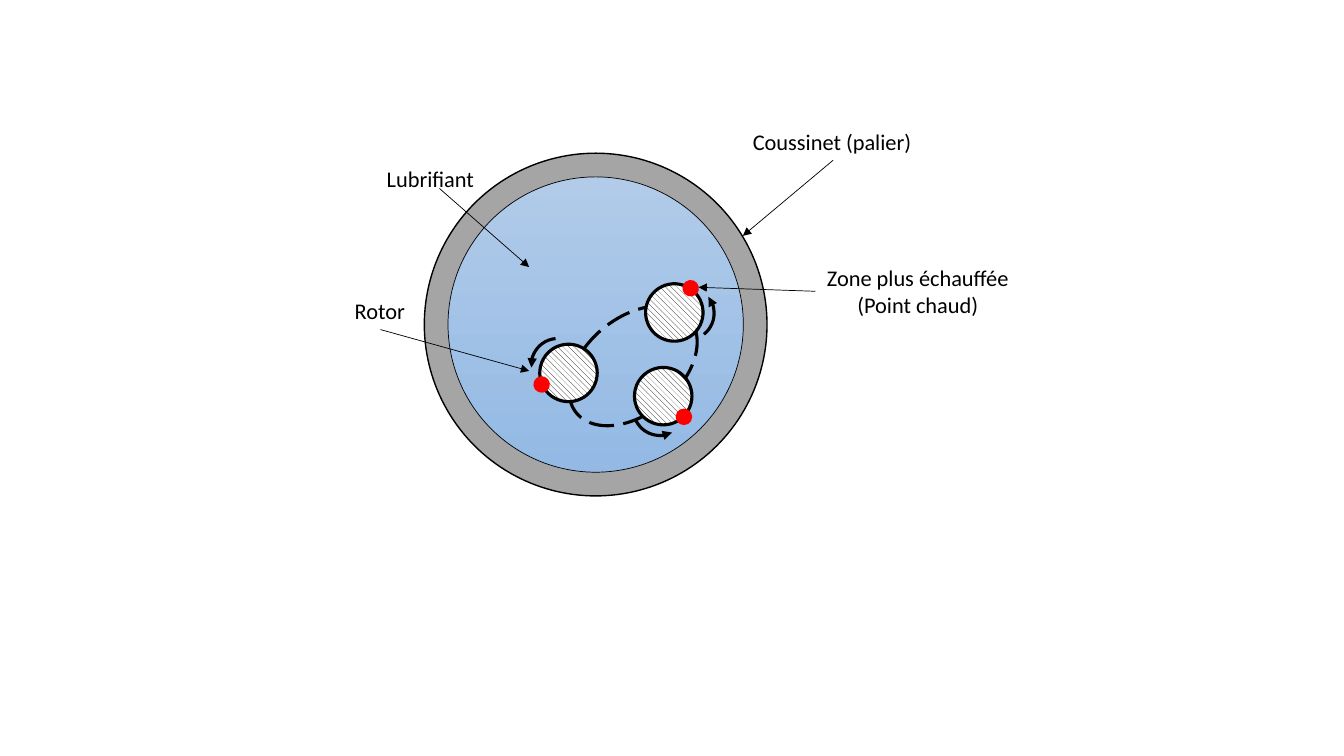
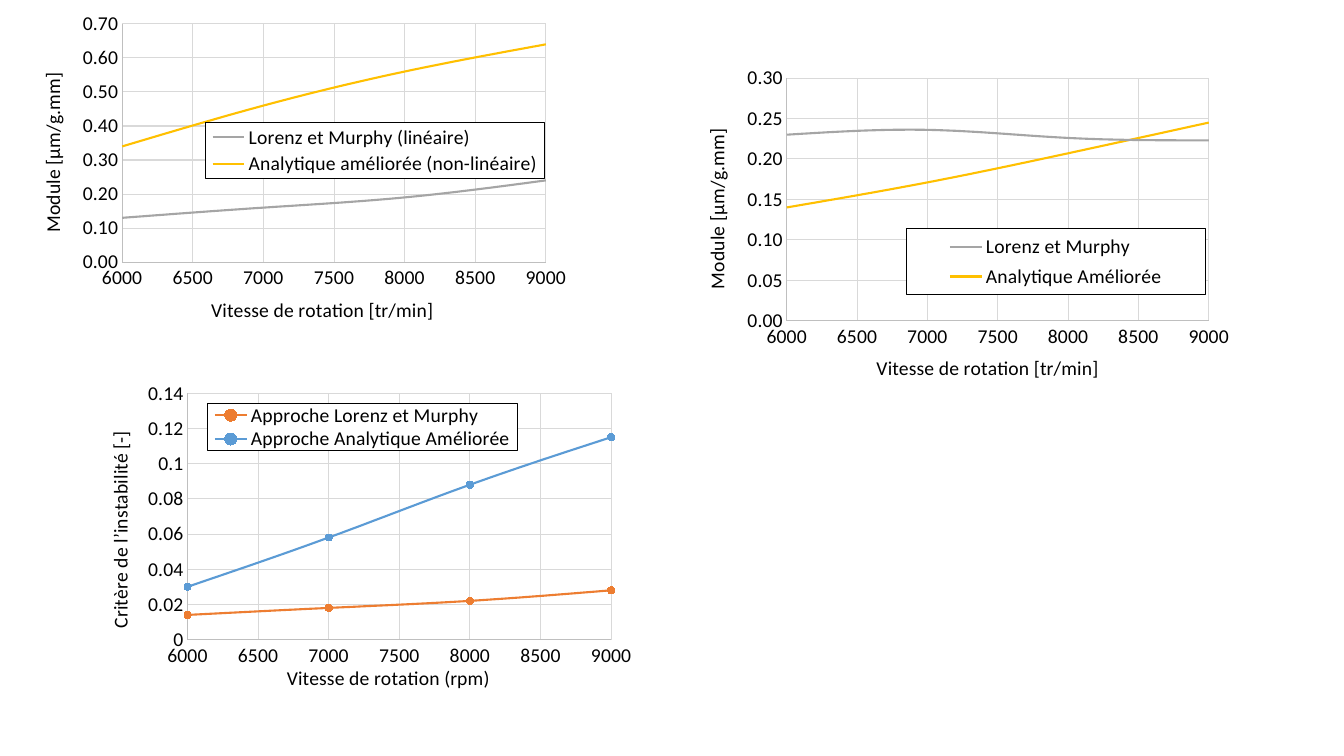
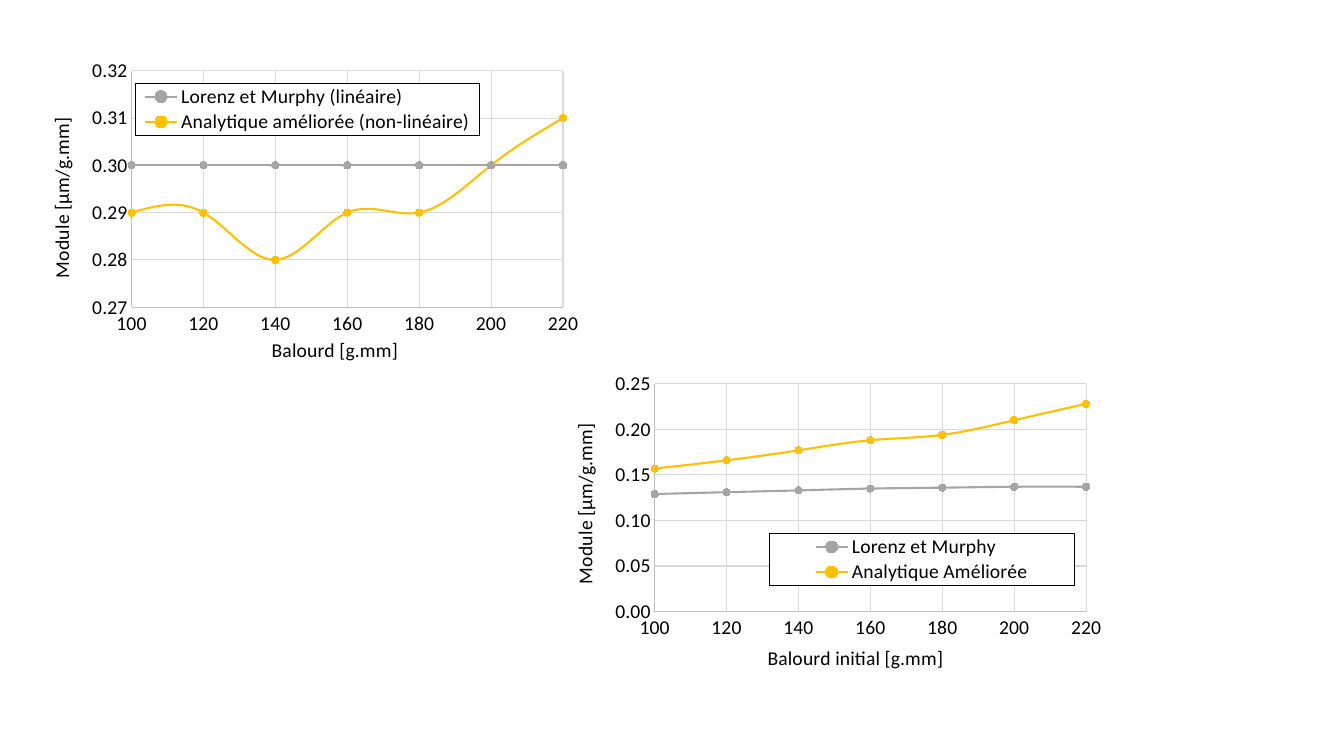
from dataclasses import dataclass
from math import cos, radians, sin

from lxml import etree
from pptx import Presentation
from pptx.chart.data import XyChartData
from pptx.dml.color import RGBColor
from pptx.enum.chart import XL_CHART_TYPE, XL_LEGEND_POSITION, XL_MARKER_STYLE, XL_TICK_MARK
from pptx.enum.dml import MSO_LINE, MSO_PATTERN
from pptx.enum.shapes import MSO_CONNECTOR, MSO_SHAPE
from pptx.enum.text import MSO_AUTO_SIZE, PP_ALIGN
from pptx.oxml.ns import qn
from pptx.util import Inches, Pt

ELLIPSE, ARC = MSO_SHAPE.OVAL, MSO_SHAPE.ARC
STRAIGHT = MSO_CONNECTOR.STRAIGHT
LONG_DASH = MSO_LINE.LONG_DASH
HATCH = MSO_PATTERN.WIDE_DOWNWARD_DIAGONAL
LEFT, CENTER = PP_ALIGN.LEFT, PP_ALIGN.CENTER
FIT_SHAPE = MSO_AUTO_SIZE.SHAPE_TO_FIT_TEXT
SMOOTH, SMOOTH_MARKED = XL_CHART_TYPE.XY_SCATTER_SMOOTH_NO_MARKERS, XL_CHART_TYPE.XY_SCATTER_SMOOTH
LEGEND_RIGHT, LEGEND_TOP = XL_LEGEND_POSITION.RIGHT, XL_LEGEND_POSITION.TOP
CIRCLE = XL_MARKER_STYLE.CIRCLE
NO_TICKS = XL_TICK_MARK.NONE

FONT = "Calibri"
BLACK, WHITE, RED = "000000", "FFFFFF", "FF0000"
GREY, YELLOW, ORANGE, BLUE = "A5A5A5", "FFC000", "ED7D31", "5B9BD5"
OIL_TOP, OIL_BOTTOM = "B1CBE9", "93B9E4"
AXIS_GREY, GRID_GREY = "BFBFBF", "D9D9D9"

ROTOR_SIZE, SPOT_SIZE, ARC_SIZE = 0.57, 0.15, 0.53


@dataclass
class Rotor:
    x: float
    y: float
    turn: float


@dataclass
class Label:
    text: str
    box: tuple[float, float, float, float]
    tip: tuple[float, float]
    align: PP_ALIGN = LEFT
    start: tuple[float, float] | None = None
    side: int = 2


@dataclass
class Curve:
    name: str
    values: list[float]
    color: str


@dataclass
class Axis:
    title: str
    title_at: tuple[float, float]
    low: float
    high: float
    step: float
    number_format: str = "General"


@dataclass
class Plot:
    """A scatter chart; box, legend and titles in slide inches, area as chart fractions."""
    box: tuple[float, float, float, float]
    area: tuple[float, float, float, float]
    legend: tuple[float, float, float, float]
    horizontal: Axis
    vertical: Axis
    curves: list[Curve]
    kind: XL_CHART_TYPE = SMOOTH_MARKED
    legend_side: XL_LEGEND_POSITION = LEGEND_RIGHT


ROTORS = [Rotor(5.64, 3.7, 21.8), Rotor(6.58, 3.93, 270), Rotor(6.69, 3.1, 168.9)]

LABELS = [
    Label("Rotor", (3.42, 2.9, 0.71, 0.37), (5.25, 3.68)),
    Label("Coussinet (palier)", (7.37, 1.22, 1.79, 0.37), (7.37, 2.34)),
    Label("Zone plus échauffée\n(Point chaud)", (8.09, 2.57, 2.03, 0.64), (6.93, 2.85), CENTER, side=1),
    Label("Lubrifiant", (3.73, 1.59, 1.08, 0.37), (5.25, 2.65), CENTER, start=(4.36, 1.87)),
]

MODULE = "Module [µm/g.mm]"
SPEED = "Vitesse de rotation [tr/min]"
LINEAR, NON_LINEAR = "Lorenz et Murphy (linéaire)", "Analytique améliorée (non-linéaire)"
CLASSIC, IMPROVED = "Lorenz et Murphy", "Analytique Améliorée"

SPEED_PLOTS = [
    Plot((0.32, 0, 5.41, 3.26), (0.165, 0.073, 0.777, 0.725), (2.04, 1.22, 3.36, 0.55),
         Axis(SPEED, (2.06, 2.9), 6000, 9000, 500),
         Axis(MODULE, (0.35, 0.68), 0, 0.7, 0.1, "0.00"),
         [Curve(LINEAR, [0.13, 0.16, 0.19, 0.24], GREY),
          Curve(NON_LINEAR, [0.34, 0.46, 0.56, 0.64], YELLOW)], SMOOTH),
    Plot((6.94, 0.58, 5.41, 3.26), (0.16, 0.06, 0.774, 0.738), (8.99, 2.27, 2.97, 0.65),
         Axis(SPEED, (8.66, 3.48), 6000, 9000, 500),
         Axis(MODULE, (6.93, 1.24), 0, 0.3, 0.05, "0.00"),
         [Curve(CLASSIC, [0.23, 0.236, 0.226, 0.223], GREY),
          Curve(IMPROVED, [0.14, 0.171, 0.207, 0.245], YELLOW)], SMOOTH),
    Plot((0.93, 3.67, 5.41, 3.26), (0.172, 0.071, 0.777, 0.75), (2.06, 4, 3.07, 0.47),
         Axis("Vitesse de rotation (rpm)", (2.81, 6.56), 6000, 9000, 500),
         Axis("Critère de l’instabilité [-]", (1.02, 4.24), 0, 0.14, 0.02),
         [Curve("Approche Lorenz et Murphy", [0.014, 0.018, 0.022, 0.028], ORANGE),
          Curve("Approche Analytique Améliorée", [0.03, 0.058, 0.088, 0.115], BLUE)],
         legend_side=LEGEND_TOP),
]

UNBALANCE_PLOTS = [
    Plot((0.44, 0.51, 5.51, 3.15), (0.157, 0.061, 0.777, 0.745), (1.34, 0.83, 3.42, 0.51),
         Axis("Balourd [g.mm]", (2.66, 3.3), 100, 220, 20),
         Axis(MODULE, (0.44, 1.13), 0.27, 0.32, 0.01, "0.00"),
         [Curve(LINEAR, [0.3] * 7, GREY),
          Curve(NON_LINEAR, [0.29, 0.29, 0.28, 0.29, 0.29, 0.3, 0.31], YELLOW)]),
    Plot((5.63, 3.56, 5.51, 3.15), (0.157, 0.079, 0.777, 0.719), (7.63, 5.3, 3.03, 0.51),
         Axis("Balourd initial [g.mm]", (7.58, 6.36), 100, 220, 20),
         Axis(MODULE, (5.62, 4.17), 0, 0.25, 0.05, "0.00"),
         [Curve(CLASSIC, [0.129, 0.131, 0.133, 0.135, 0.136, 0.137, 0.137], GREY),
          Curve(IMPROVED, [0.157, 0.166, 0.177, 0.188, 0.194, 0.21, 0.228], YELLOW)]),
]


def rgb(color: str) -> RGBColor:
    return RGBColor.from_string(color)


def style_line(line, color: str, width: float) -> None:
    line.color.rgb = rgb(color)
    line.width = Pt(width)


def style_font(font, size: float, color: str = BLACK) -> None:
    font.name, font.size, font.bold = FONT, Pt(size), False
    font.color.rgb = rgb(color)


def write_text(frame, text: str, *, size: float, align: PP_ALIGN = LEFT) -> None:
    frame.text = text
    for para in frame.paragraphs:
        para.alignment = align
        for span in para.runs:
            style_font(span.font, size)


def add_arrowhead(line, end: str) -> None:
    """Put a triangle at the line's headEnd or tailEnd."""
    etree.SubElement(line._get_or_add_ln(), qn(f"a:{end}"), type="triangle")


def add_round(page, center: tuple[float, float], width: float, height: float, *, shape=ELLIPSE,
              fill: str | None = None, line: str = BLACK, weight: float = 2.25, turn: float = 0):
    """Add a round outline about its centre, unfilled unless a colour is given."""
    x, y = center
    item = page.shapes.add_shape(shape, Inches(x - width / 2), Inches(y - height / 2),
                                 Inches(width), Inches(height))
    item.shadow.inherit = False
    item.rotation = turn
    if fill:
        item.fill.solid()
        item.fill.fore_color.rgb = rgb(fill)
    else:
        item.fill.background()
    style_line(item.line, line, weight)
    return item


def draw_bearing(page) -> None:
    center = (5.91, 3.22)
    add_round(page, center, 3.4, 3.4, fill=GREY, weight=1)
    oil = add_round(page, center, 2.93, 2.93, weight=0.5)
    oil.fill.gradient()
    oil.fill.gradient_angle = 270
    for stop, color in zip(oil.fill.gradient_stops, (OIL_TOP, OIL_BOTTOM)):
        stop.color.rgb = rgb(color)
    orbit = add_round(page, (6.28, 3.63), 1.46, 0.95, turn=320)
    orbit.line.dash_style = LONG_DASH


def draw_rotor(page, rotor: Rotor) -> None:
    """Draw a hatched rotor with its hot spot and direction arrow."""
    def around(angle: float, radius: float) -> tuple[float, float]:
        direction = radians(rotor.turn + angle)
        return rotor.x + radius * cos(direction), rotor.y + radius * sin(direction)

    disc = add_round(page, (rotor.x, rotor.y), ROTOR_SIZE, ROTOR_SIZE, turn=rotor.turn)
    disc.fill.patterned()
    disc.fill.pattern = HATCH
    disc.fill.fore_color.rgb = rgb(BLACK)
    disc.fill.back_color.rgb = rgb(WHITE)
    add_round(page, around(135, 0.29), SPOT_SIZE, SPOT_SIZE, fill=RED, line=RED, weight=1,
              turn=rotor.turn)
    arrow = add_round(page, around(195, 0.13), ARC_SIZE, ARC_SIZE, shape=ARC,
                      turn=(rotor.turn - 117) % 360)
    add_arrowhead(arrow.line, "headEnd")


def draw_label(page, label: Label) -> None:
    """Write a label and point from it to its part."""
    box = page.shapes.add_textbox(*map(Inches, label.box))
    box.text_frame.word_wrap = False
    box.text_frame.auto_size = FIT_SHAPE
    write_text(box.text_frame, label.text, size=16, align=label.align)
    start = label.start or label.box[:2]
    pointer = page.shapes.add_connector(STRAIGHT, *map(Inches, (*start, *label.tip)))
    if label.start is None:
        pointer.begin_connect(box, label.side)
    style_line(pointer.line, BLACK, 0.5)
    add_arrowhead(pointer.line, "tailEnd")
    etree.SubElement(pointer._element.spPr, qn("a:effectLst"))


def set_layout(parent, index: int, place: tuple[float, ...], inner: bool = False) -> None:
    """Fix a chart part at x, y and, if given, w, h, as fractions of the chart."""
    for old in parent.findall(qn("c:layout")):
        parent.remove(old)
    layout = etree.Element(qn("c:layout"))
    parent.insert(index, layout)
    manual = etree.SubElement(layout, qn("c:manualLayout"))
    if inner:
        etree.SubElement(manual, qn("c:layoutTarget"), val="inner")
    for name in ("xMode", "yMode"):
        etree.SubElement(manual, qn(f"c:{name}"), val="edge")
    for name, value in zip("xywh", place):
        etree.SubElement(manual, qn(f"c:{name}"), val=f"{value:.4f}")


def chart_fractions(plot: Plot, place: tuple[float, ...]) -> tuple[float, ...]:
    """Turn slide inches into fractions of the plot's box."""
    left, top, width, height = plot.box
    start = ((place[0] - left) / width, (place[1] - top) / height)
    return start + tuple(size / full for size, full in zip(place[2:], (width, height)))


def style_axis(axis, facts: Axis, plot: Plot, upright: bool) -> None:
    axis.minimum_scale, axis.maximum_scale, axis.major_unit = facts.low, facts.high, facts.step
    axis.major_tick_mark = axis.minor_tick_mark = NO_TICKS
    axis.has_major_gridlines = True
    style_line(axis.major_gridlines.format.line, GRID_GREY, 0.75)
    style_line(axis.format.line, AXIS_GREY, 0.75)
    style_font(axis.tick_labels.font, 14)
    axis.tick_labels.number_format = facts.number_format
    axis.tick_labels.number_format_is_linked = False
    title = axis.axis_title
    write_text(title.text_frame, facts.title, size=14, align=CENTER)
    if upright:
        body = title.text_frame._element.find(qn("a:bodyPr"))
        body.set("rot", "-5400000")
        body.set("vert", "horz")
    set_layout(title._element, 1, chart_fractions(plot, facts.title_at))


def style_legend(chart, plot: Plot) -> None:
    chart.has_legend = True
    legend = chart.legend
    legend.position = plot.legend_side
    legend.include_in_layout = False
    style_font(legend.font, 14)
    set_layout(legend._element, 1, chart_fractions(plot, plot.legend))
    frame = etree.Element(qn("c:spPr"))
    outline = etree.Element(qn("a:ln"), w=str(Pt(0.75)))
    for parent, color in ((frame, WHITE), (outline, BLACK)):
        fill = etree.SubElement(parent, qn("a:solidFill"))
        etree.SubElement(fill, qn("a:srgbClr"), val=color)
    frame.append(outline)
    legend._element.find(qn("c:overlay")).addnext(frame)


def draw_plot(page, plot: Plot) -> None:
    data = XyChartData()
    across = plot.horizontal
    for curve in plot.curves:
        points = data.add_series(curve.name)
        gap = (across.high - across.low) // (len(curve.values) - 1)
        for index, value in enumerate(curve.values):
            points.add_data_point(across.low + index * gap, value)
    chart = page.shapes.add_chart(plot.kind, *map(Inches, plot.box), data).chart
    chart.has_title = False
    style_font(chart.font, 14)
    chart.plots[0].vary_by_categories = False
    for series, curve in zip(chart.plots[0].series, plot.curves):
        series._element.get_or_add_smooth().val = True
        style_line(series.format.line, curve.color, 1.5)
        if plot.kind == SMOOTH_MARKED:
            series.marker.style, series.marker.size = CIRCLE, 5
            series.marker.format.fill.solid()
            series.marker.format.fill.fore_color.rgb = rgb(curve.color)
            style_line(series.marker.format.line, curve.color, 0.75)
    style_axis(chart.category_axis, across, plot, upright=False)
    style_axis(chart.value_axis, plot.vertical, plot, upright=True)
    style_legend(chart, plot)
    area = chart._chartSpace.find(f".//{qn('c:plotArea')}")
    set_layout(area, 0, plot.area, inner=True)


def main() -> None:
    deck = Presentation()
    deck.slide_width, deck.slide_height = Inches(40 / 3), Inches(7.5)
    blank = deck.slide_layouts[6]

    page = deck.slides.add_slide(blank)
    draw_bearing(page)
    for rotor in ROTORS:
        draw_rotor(page, rotor)
    for label in LABELS:
        draw_label(page, label)

    for plots in (SPEED_PLOTS, UNBALANCE_PLOTS):
        page = deck.slides.add_slide(blank)
        for plot in plots:
            draw_plot(page, plot)

    deck.save("out.pptx")


if __name__ == "__main__":
    main()
